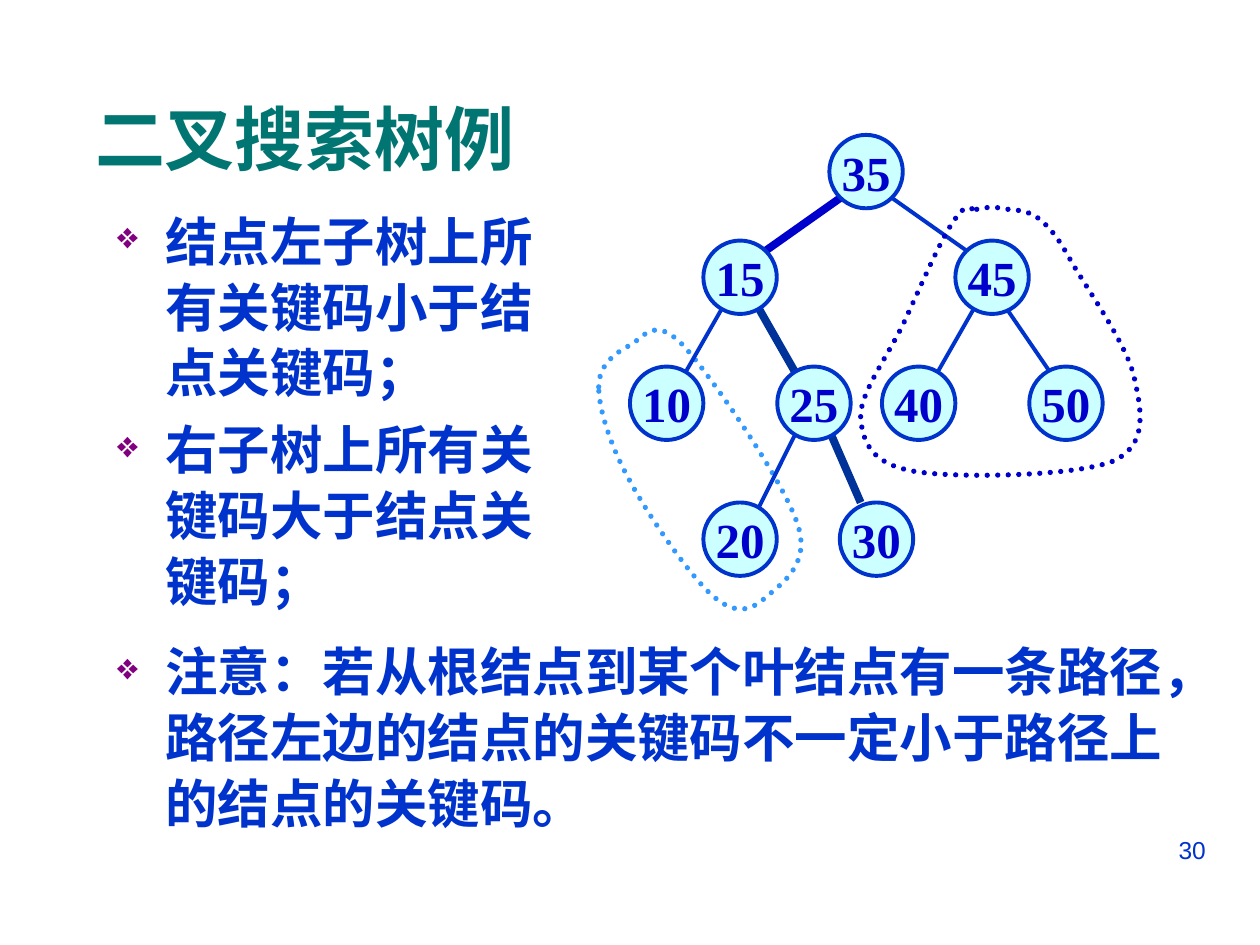
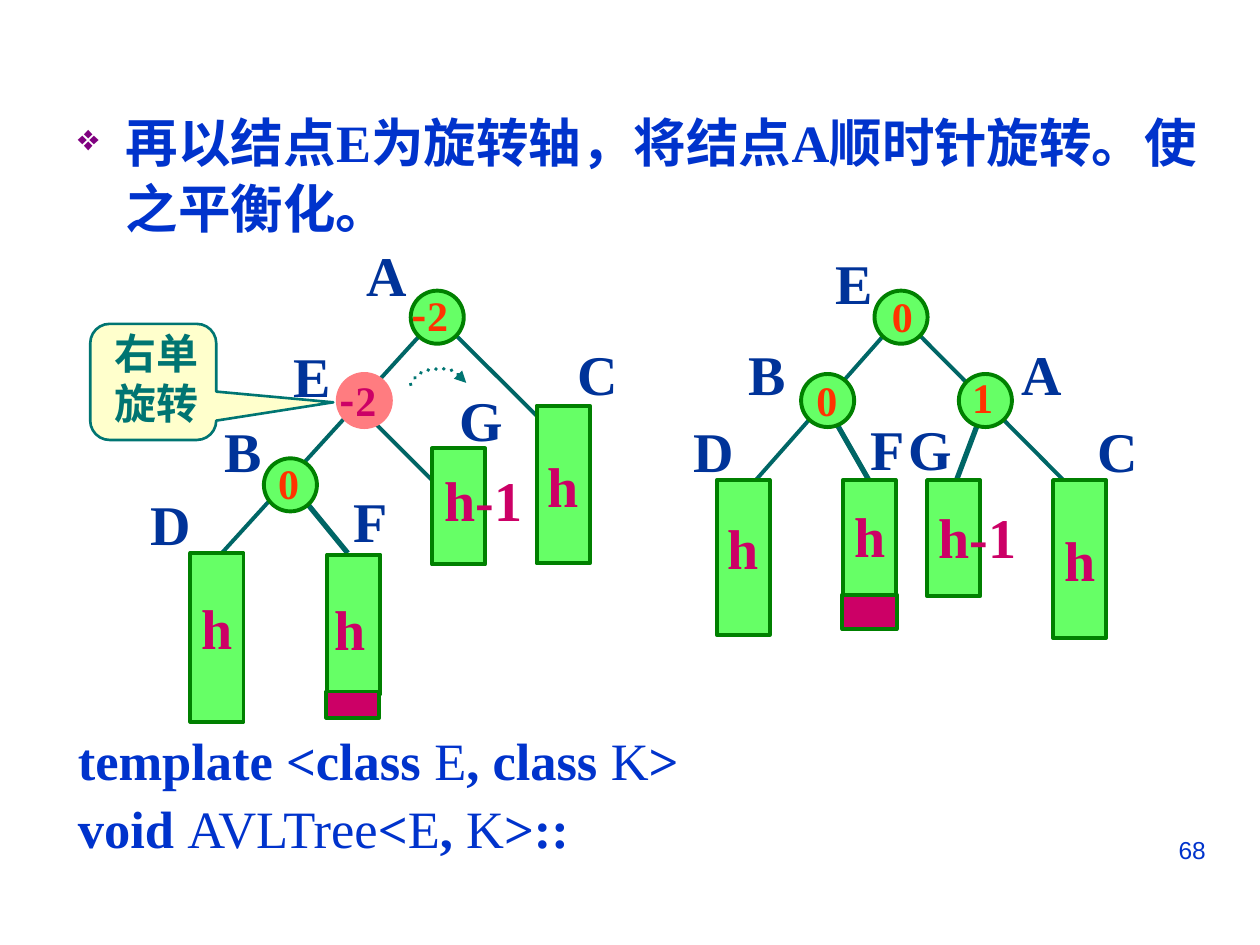
from lxml.etree import SubElement
from pptx import Presentation
from pptx.dml.color import RGBColor
from pptx.enum.dml import MSO_LINE
from pptx.enum.shapes import MSO_CONNECTOR, MSO_SHAPE
from pptx.enum.text import MSO_ANCHOR, MSO_AUTO_SIZE, PP_ALIGN
from pptx.oxml.ns import qn
from pptx.util import Cm, Pt

COLORS = {
    "text": "0033CC", "title": "007572", "bullet": "800080", "key": "0000CC",
    "node": "CCFFFF", "path": "003399", "left_area": "3399FF",
    "edge": "006666", "green": "66FF66", "green_line": "008000",
    "pivot": "FF7C80", "height": "CC0066", "balance": "FF3300",
    "callout": "FFFFCC",
}
SANS, SERIF, CJK = "Arial", "Times New Roman", "Noto Sans CJK SC"
KEY_SIZE = 1.48
NODE_SIZE = 1.07
LETTER_WIDTHS = {"B": 1.27, "E": 1.27, "F": 1.19, "G": 1.4, "h": 1.14, "h-1": 2.08}


def rgb(name):
    return RGBColor.from_string(COLORS[name])


def write_text(p, text, size=30, color="text", font=SANS, bold=True):
    r = p.add_run()
    r.text = text
    r.font.size = Pt(size)
    r.font.bold = bold
    r.font.name = font
    r.font.color.rgb = rgb(color)
    SubElement(r.font._element, qn("a:ea")).set("typeface", CJK)


def add_box(s, x, y, w, h, wrap=True):
    tf = s.shapes.add_textbox(Cm(x), Cm(y), Cm(w), Cm(h)).text_frame
    tf.word_wrap = wrap
    return tf


def add_label(s, text, x, y, w, h, **fmt):
    tf = add_box(s, x, y, w, h, wrap=False)
    tf.auto_size = MSO_AUTO_SIZE.SHAPE_TO_FIT_TEXT
    p = tf.paragraphs[0]
    write_text(p, text, **fmt)
    return p


def add_letter(s, text, x, y, color):
    add_label(s, text, x, y, LETTER_WIDTHS.get(text, 1.32), 1.6, size=32, color=color, font=SERIF)


def add_balance(s, value, x, y, color="balance"):
    fmt = dict(size=24, color=color)
    if value < 0:
        p = add_label(s, "-", x, y, 1.36, 1.27, font=CJK, **fmt)
        write_text(p, str(-value), font=SERIF, **fmt)
    else:
        add_label(s, str(value), x, y, 0.94, 1.27, font=SERIF, **fmt)


def set_hanging_indent(p):
    pPr = p._p.get_or_add_pPr()
    for name, value in (("marL", Cm(0.97)), ("indent", -Cm(0.97)), ("hangingPunct", 1)):
        pPr.set(name, str(int(value)))
    return pPr


def add_bullets(s, items, x, y, w, h, font=SANS, align=None):
    tf = add_box(s, x, y, w, h)
    for i, text in enumerate(items):
        p = tf.add_paragraph() if i else tf.paragraphs[0]
        pPr = set_hanging_indent(p)
        SubElement(SubElement(pPr, qn("a:buClr")), qn("a:srgbClr")).set("val", COLORS["bullet"])
        SubElement(pPr, qn("a:buSzPct")).set("val", "70000")
        SubElement(pPr, qn("a:buChar")).set("char", "❖")
        p.line_spacing = Pt(37.7)
        if i:
            p.space_before = Pt(6.3)
        if align is not None:
            p.alignment = align
        write_text(p, text, font=font)
    return tf


def add_code_line(tf, parts, gap):
    p = tf.add_paragraph()
    set_hanging_indent(p)
    p.space_before = Pt(gap)
    for i, text in enumerate(parts):
        write_text(p, text, font=SERIF, bold=i % 2 == 0)


def add_shape(s, kind, x, y, w, h, fill, line, width=2.25):
    sp = s.shapes.add_shape(kind, Cm(x), Cm(y), Cm(w), Cm(h))
    sp.shadow.inherit = False
    sp.fill.solid()
    sp.fill.fore_color.rgb = rgb(fill)
    sp.line.color.rgb = rgb(line)
    sp.line.width = Pt(width)
    tf = sp.text_frame
    tf.word_wrap = False
    tf.vertical_anchor = MSO_ANCHOR.MIDDLE
    tf.paragraphs[0].alignment = PP_ALIGN.CENTER
    return sp


def add_edge(s, x1, y1, x2, y2, color="edge", width=2.25):
    line = s.shapes.add_connector(MSO_CONNECTOR.STRAIGHT, Cm(x1), Cm(y1), Cm(x2), Cm(y2))
    line.line.color.rgb = rgb(color)
    line.line.width = Pt(width)
    SubElement(line._element.spPr, qn("a:effectLst"))


def add_dotted_curve(s, start, curves, color, width=3, closed=True, arrow=False):
    fb = s.shapes.build_freeform(Cm(start[0]), Cm(start[1]))
    fb.add_line_segments([(Cm(x), Cm(y)) for curve in curves for x, y in curve], close=closed)
    sp = fb.convert_to_shape()
    path = next(sp._element.iter(qn("a:path")))
    segments = path.findall(qn("a:lnTo"))
    for i in range(0, len(segments), 3):
        bezier = SubElement(path, qn("a:cubicBezTo"))
        segments[i].addprevious(bezier)
        for segment in segments[i:i + 3]:
            bezier.append(segment[0])
            path.remove(segment)
    sp.shadow.inherit = False
    sp.fill.background()
    sp.line.color.rgb = rgb(color)
    sp.line.width = Pt(width)
    sp.line.dash_style = MSO_LINE.ROUND_DOT
    ln = sp._element.spPr.find(qn("a:ln"))
    ln.set("cap", "rnd")
    if arrow:
        SubElement(ln, qn("a:tailEnd")).set("type", "triangle")


def add_page_number(s, number):
    p = add_box(s, 18.21, 16.71, 6.35, 1.32).paragraphs[0]
    p.alignment = PP_ALIGN.RIGHT
    write_text(p, str(number), size=14, bold=False)


def add_search_tree(s):
    for edge in [
        (19.69, 6.12, 18.85, 7.59, "text", 2.25), (16.71, 8.66, 17.35, 10.13, "path", 4.5),
        (16.08, 8.66, 15.24, 10.34, "text", 2.25), (14.61, 6.12, 13.77, 7.59, "text", 2.25),
        (15.24, 6.12, 16.08, 7.59, "path", 4.5), (16.94, 3.99, 15.44, 5.05, "key", 4.5),
        (17.98, 3.99, 19.48, 5.05, "text", 2.25), (20.29, 6.22, 21.16, 7.49, "text", 2.25),
    ]:
        add_edge(s, *edge)
    rows = [
        (2.72, {35: 16.72}),
        (4.85, {15: 14.18, 45: 19.26}),
        (7.39, {10: 12.7, 25: 15.67, 40: 17.78, 50: 20.75}),
        (10.13, {20: 14.18, 30: 16.93}),
    ]
    for y, keys in rows:
        for key, x in keys.items():
            sp = add_shape(s, MSO_SHAPE.OVAL, x, y, KEY_SIZE, KEY_SIZE, "node", "text")
            write_text(sp.text_frame.paragraphs[0], str(key), size=28, color="key", font=SERIF)


def add_avl_tree(s, edges, bars, extra, nodes, letters, heights, balances):
    for x1, y1, x2, y2, width in edges:
        add_edge(s, x1, y1, x2, y2, width=width)
    for x, y, h, text, spacing in bars:
        sp = add_shape(s, MSO_SHAPE.RECTANGLE, x, y, NODE_SIZE, h, "green", "green_line")
        if text:
            p = sp.text_frame.paragraphs[0]
            p.line_spacing = spacing
            write_text(p, text, size=32, color="height", font=SERIF)
    add_shape(s, MSO_SHAPE.RECTANGLE, *extra, "height", "green_line")
    for x, y, fill, line in nodes:
        add_shape(s, MSO_SHAPE.OVAL, x, y, NODE_SIZE, NODE_SIZE, fill, line)
    for letter in letters:
        add_letter(s, *letter, "path")
    for height in heights:
        add_letter(s, *height, "height")
    for balance in balances:
        add_balance(s, *balance)


def build_search_tree_slide(prs):
    s = prs.slides.add_slide(prs.slide_layouts[5])
    title = s.shapes.title
    title.left, title.top, title.width, title.height = Cm(0.39), Cm(1.83), Cm(11.51), Cm(1.9)
    tf = title.text_frame
    tf.auto_size = MSO_AUTO_SIZE.NONE
    tf.vertical_anchor = MSO_ANCHOR.MIDDLE
    p = tf.paragraphs[0]
    p.alignment = PP_ALIGN.CENTER
    write_text(p, "二叉搜索树例", size=40, color="title")
    add_bullets(s, ["结点左子树上所有关键码小于结点关键码；",
                    "右子树上所有关键码大于结点关键码；"], 2.11, 4.02, 9.4, 9.09)
    add_bullets(s, ["注意：若从根结点到某个叶结点有一条路径，路径左边的结点的关键码"
                    "不一定小于路径上的结点的关键码。"], 2.11, 12.7, 22.02, 4.45)
    add_dotted_curve(s, (12.07, 7.8), [
        ((12.07, 7.34), (12.42, 7.11), (12.7, 6.96)),
        ((12.98, 6.81), (13.18, 6.35), (13.77, 6.96)),
        ((14.33, 7.57), (15.8, 9.7), (16.08, 10.57)),
        ((16.36, 11.4), (15.72, 11.79), (15.44, 12.04)),
        ((15.16, 12.29), (14.86, 12.42), (14.4, 12.04)),
        ((13.94, 11.66), (13.08, 10.41), (12.7, 9.7)),
        ((12.32, 9.02), (12.07, 8.26), (12.07, 7.8)),
    ], "left_area")
    add_search_tree(s)
    add_dotted_curve(s, (19.69, 4.22), [
        ((19.86, 4.17), (20.12, 4.17), (20.32, 4.22)),
        ((20.52, 4.24), (20.73, 4.24), (20.96, 4.42)),
        ((21.16, 4.6), (21.29, 4.72), (21.59, 5.26)),
        ((21.89, 5.79), (22.71, 6.93), (22.86, 7.59)),
        ((23.01, 8.26), (23.16, 8.97), (22.43, 9.3)),
        ((21.69, 9.6), (19.25, 9.65), (18.42, 9.5)),
        ((17.58, 9.35), (17.4, 8.94), (17.35, 8.43)),
        ((17.32, 7.95), (17.88, 7.21), (18.21, 6.53)),
        ((18.52, 5.87), (18.97, 4.8), (19.25, 4.42)),
        ((19.53, 4.04), (19.51, 4.24), (19.69, 4.22)),
    ], "key")
    add_page_number(s, 30)


def add_callout(s):
    callout = add_shape(s, MSO_SHAPE.ROUNDED_RECTANGULAR_CALLOUT, 1.82, 6.53, 2.54, 2.34,
                        "callout", "title", 1.5)
    for i, value in enumerate((1.429, 0.176, 0.167)):
        callout.adjustments[i] = value
    tf = add_box(s, 2.06, 6.48, 2.54, 2.29)
    for p, text in zip((tf.paragraphs[0], tf.add_paragraph()), ("右单", "旋转")):
        p.line_spacing = Pt(28.6)
        write_text(p, text, size=24, color="title", font=SERIF)


def build_rotation_slide(prs):
    s = prs.slides.add_slide(prs.slide_layouts[6])
    tf = add_bullets(s, ["再以结点E为旋转轴，将结点A顺时针旋转。使之平衡化。"],
                     1.32, 2.03, 23.06, 16.31, font=SERIF, align=PP_ALIGN.JUSTIFY)
    add_code_line(tf, ("template <class ", "E", ", class ", "K", ">"), 279.7)
    add_code_line(tf, ("void ", "AVLTree", "<", "E", ", ", "K", ">::"), 2.8)
    add_callout(s)
    green, pivot = ("green", "green_line"), ("pivot", "pivot")
    add_avl_tree(
        s,
        edges=[(5.97, 9.88, 7.01, 11.15, 3), (9.14, 6.71, 11.05, 8.61, 2.25),
               (8.51, 6.71, 4.47, 11.15, 2.25), (7.44, 8.41, 8.71, 9.68, 2.25)],
        bars=[(10.82, 8.18, 3.18, "h", 1.0), (3.84, 11.15, 3.4, "h", 0.6),
              (6.6, 11.18, 2.82, "", 1.0), (8.71, 9.04, 2.34, "", 1.0)],
        extra=(6.58, 13.94, NODE_SIZE, 0.53),
        nodes=[(8.28, 5.86, *green), (6.81, 7.54, *pivot), (5.32, 9.24, *green)],
        letters=[("A", 7.14, 4.72), ("E", 5.66, 6.76), ("C", 11.4, 6.71), ("D", 2.79, 9.75),
                 ("B", 4.27, 8.28), ("F", 6.88, 9.68), ("G", 9.02, 7.65)],
        heights=[("h", 6.5, 11.86), ("h-1", 8.71, 9.25)],
        balances=[(-2, 8.05, 5.72), (-2, 6.6, 7.42, "height"), (0, 5.36, 9.09)])
    add_avl_tree(
        s,
        edges=[(19.76, 8.41, 19.13, 10.08, 3), (18.49, 6.71, 21.44, 9.68, 2.25),
               (17.86, 6.71, 14.88, 10.08, 2.25), (16.79, 8.41, 17.63, 9.88, 3)],
        bars=[(21.23, 9.68, 3.18, "h", 1.0), (18.69, 9.68, 2.34, "", 1.0),
              (14.45, 9.68, 3.12, "h", 0.6), (16.99, 9.68, 2.41, "", 1.0)],
        extra=(16.98, 11.99, 1.1, 0.69),
        nodes=[(17.63, 5.86, *green), (16.15, 7.54, *green), (19.33, 7.54, *green)],
        letters=[("E", 16.59, 4.88), ("B", 14.83, 6.71), ("A", 20.35, 6.71), ("D", 13.74, 8.28),
                 ("F", 17.3, 8.23), ("G", 18.06, 8.23), ("C", 21.87, 8.28)],
        heights=[("h", 16.97, 9.98), ("h-1", 18.67, 10.01)],
        balances=[(0, 17.73, 5.74), (0, 16.21, 7.42), (1, 19.35, 7.37)])
    add_dotted_curve(s, (8.28, 7.75), [
        ((8.33, 7.67), (8.38, 7.57), (8.48, 7.52)),
        ((8.56, 7.47), (8.69, 7.44), (8.79, 7.44)),
        ((8.92, 7.44), (9.02, 7.42), (9.12, 7.47)),
        ((9.22, 7.52), (9.35, 7.67), (9.4, 7.72)),
    ], "title", 2.25, closed=False, arrow=True)
    add_page_number(s, 68)


def main():
    prs = Presentation()
    prs.slide_width, prs.slide_height = Cm(25.4), Cm(19.05)
    build_search_tree_slide(prs)
    build_rotation_slide(prs)
    prs.save("out.pptx")


if __name__ == "__main__":
    main()
